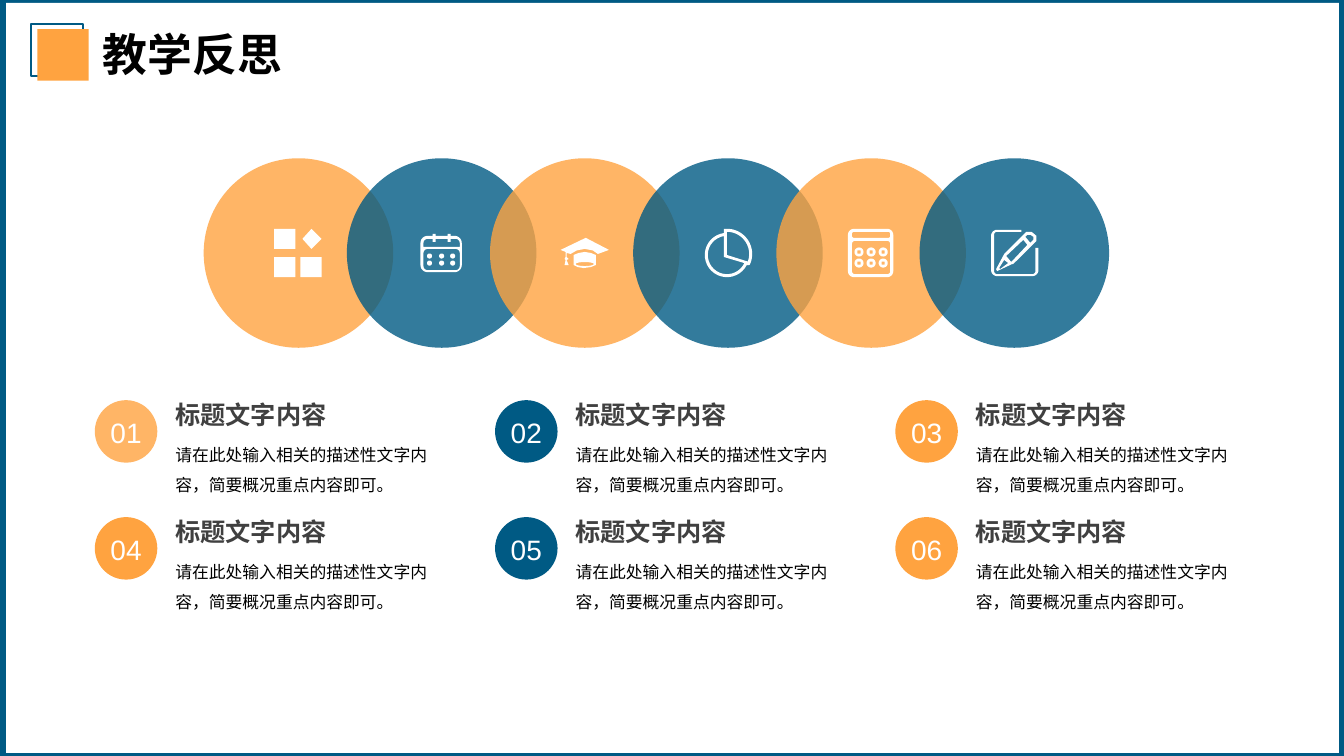
from math import cos, radians, sin

from lxml.etree import SubElement
from pptx import Presentation
from pptx.dml.color import RGBColor
from pptx.enum.shapes import MSO_SHAPE as Shape
from pptx.enum.text import MSO_AUTO_SIZE as AutoSize, PP_ALIGN as Align
from pptx.oxml.ns import qn
from pptx.util import Inches, Pt

BLUE = RGBColor(0x00, 0x5A, 0x84)
ORANGE = RGBColor(0xFF, 0xA3, 0x40)
WHITE = RGBColor(0xFF, 0xFF, 0xFF)
BLACK = RGBColor(0x00, 0x00, 0x00)
GRAY = RGBColor(0x40, 0x40, 0x40)

WIDTH, HEIGHT = 13.33, 7.5
COLUMNS = 3
COLUMN_LEFT, COLUMN_STEP = 0.94, 3.97
ROW_TOP, ROW_STEP = 3.97, 1.16
BADGE = 0.62
CIRCLE, CIRCLE_LEFT, CIRCLE_TOP = 1.88, 2.02, 1.57
CIRCLE_STEP = 1.42
ICON_UNIT = 0.01

HEADING = "标题文字内容"
DETAIL = "请在此处输入相关的描述性文字内容，简要概况重点内容即可。"


def add_shape(page, kind, left, top, width, height, fill=None, line=None, opacity=100):
    shape = page.shapes.add_shape(
        kind, Inches(left), Inches(top), Inches(width), Inches(height))
    shape.shadow.inherit = False
    if fill is None:
        shape.fill.background()
    else:
        shape.fill.solid()
        shape.fill.fore_color.rgb = fill
    if opacity < 100:
        color = shape._element.spPr.find(qn("a:solidFill"))[0]
        SubElement(color, qn("a:alpha"), val=str(opacity * 1000))
    if line is None:
        shape.line.fill.background()
    else:
        shape.line.color.rgb = line
        shape.line.width = Pt(1.5)


def add_text(page, text, left, top, width, height, size, color,
             bold=False, align=Align.LEFT, spacing=None, wrap=True, inset=None):
    box = page.shapes.add_textbox(
        Inches(left), Inches(top), Inches(width), Inches(height))
    frame = box.text_frame
    frame.word_wrap = wrap
    frame.auto_size = AutoSize.SHAPE_TO_FIT_TEXT
    if inset is not None:
        frame.margin_left = frame.margin_right = inset
        frame.margin_top = frame.margin_bottom = inset
    frame.text = text
    para = frame.paragraphs[0]
    para.alignment = align
    if spacing:
        para.line_spacing = spacing
    span = para.runs[0]
    span.font.name = "Arial"
    span.font.size = Pt(size)
    span.font.bold = bold
    span.font.color.rgb = color


def arc(x, y, across, down, start, end, steps=24):
    angles = [radians(start + (end - start) * step / steps) for step in range(steps + 1)]
    return [(x + across * cos(angle), y + down * sin(angle)) for angle in angles]


def dot(x, y, radius):
    return arc(x, y, radius, radius, 0, 360)


def block(left, top, width, height):
    right, bottom = left + width, top + height
    return [(left, top), (right, top), (right, bottom), (left, bottom)]


def rounded(left, top, width, height, radius):
    west, east = left + radius, left + width - radius
    north, south = top + radius, top + height - radius
    corners = [(east, south), (west, south), (west, north), (east, north)]
    return [point for turn, (x, y) in enumerate(corners)
            for point in arc(x, y, radius, radius, 90 * turn, 90 * turn + 90, 6)]


def tiles_icon():
    diamond = [(23, -14), (13, -24), (4, -14), (13, -4)]
    return [diamond] + [block(x, y, 21, 20) for x, y in [(-24, -24), (-24, 4), (2, 4)]]


def calendar_icon():
    rings = [block(x, y, 3, depth) for x in (-9, 6) for y, depth in [(-19, 2), (-14, 3)]]
    days = [dot(x, y, 2.5) for x in (-12, 0, 11) for y in (3, 10)]
    header = [(-18, -6), *arc(-14, -10, 4, 4, 180, 270, 6),
              *arc(14, -10, 4, 4, 270, 360, 6), (18, -6)]
    return [rounded(-21, -17, 41, 36, 7), header, rounded(-18, -4, 36, 21, 4)] + rings + days


def graduation_icon():
    board = [(13, 1), (8, -2.5), (0, -4), (-8, -2.5), (-14, 1), (-18, 0), (-18, 4),
             (-16, 6), (-18, 7), (-16, 12), (-20, 12), (-19, 7), (-20, 6), (-19, 4),
             (-19, -1), (-24, -3), (1, -15), (24, -3)]
    cap = [(0, -1), (6, 0), (11, 2), (11, 12), (6, 14), (-1, 15), (-7, 14),
           (-11, 12), (-11, 2), (-6, 0)]
    return [board, cap, arc(0, 11, 9, 2, 0, 360)]


def pie_icon():
    rim = [(-4, -24), *arc(-1, 2, 22, 22, 262, 27), (21, 12), *arc(-1, 1, 25, 25, 25, -90)]
    body = [(-4, 4), *arc(-1, 2, 19, 19, 25, 261)]
    slice_gap = [(-1, 2), *arc(-1, 1, 22, 22, -90, 20)]
    return [rim, body, slice_gap]


def calculator_icon():
    keys = [(x, y) for x in (-12, 0, 12) for y in (-1, 10)]
    return ([rounded(-23, -24, 45, 48, 6), rounded(-19, -21, 38, 6, 2),
             rounded(-19, -12, 38, 33, 3)]
            + [dot(x, y, 4.5) for x, y in keys]
            + [block(x - 1.5, y - 1.5, 3, 3) for x, y in keys])


def pencil_icon():
    sheet = [(21, -5), *arc(18, 18, 3, 3, 0, 90, 6), *arc(-17, 18, 3, 3, 90, 180, 6),
             *arc(-17, -18, 3, 3, 180, 270, 6), (7, -21), (7, -23),
             *arc(-17, -17, 6, 6, 270, 180, 6), *arc(-17, 17, 6, 6, 180, 90, 6),
             *arc(18, 17, 6, 6, 90, 0, 6), (24, -5)]
    pencil = [(-11, 3), (-18, 16), (-17, 18), (-2, 11), (-1, 11), (22, -12),
              (22, -17), (17, -21), (12, -21), (-10, 1)]
    eraser = [(13, -18), (16, -18), (19, -16), (19, -13), (16, -10), (11, -16)]
    shaft = [(9, -13), (13, -8), (-3, 9), (-8, 3)]
    tip = [(-6, 10), (-14, 16), (-15, 15), (-10, 7)]
    return [sheet, pencil, eraser, shaft, tip]


def add_icon(page, contours, center_x, center_y):
    placed = [[(Inches(center_x + x * ICON_UNIT), Inches(center_y + y * ICON_UNIT))
               for x, y in contour] for contour in contours]
    builder = page.shapes.build_freeform(*placed[0][0])
    for contour in placed:
        builder.move_to(*contour[0])
        builder.add_line_segments(contour[1:], close=True)
    icon = builder.convert_to_shape()
    icon.shadow.inherit = False
    icon.fill.solid()
    icon.fill.fore_color.rgb = WHITE
    icon.line.fill.background()


def add_frame(page):
    add_shape(page, Shape.RECTANGLE, 0, 0, WIDTH, HEIGHT, BLUE)
    add_shape(page, Shape.RECTANGLE, 0.06, 0.03, WIDTH - 0.11, HEIGHT - 0.06, WHITE)
    add_shape(page, Shape.RECTANGLE, 0.31, 0.24, 0.51, 0.51, line=BLUE)
    add_shape(page, Shape.RECTANGLE, 0.37, 0.29, 0.51, 0.51, ORANGE)
    add_text(page, "教学反思", 0.92, 0.22, 2, 0.64, 32, BLACK, bold=True, wrap=False)


def add_point(page, index):
    row, column = divmod(index, COLUMNS)
    left = COLUMN_LEFT + column * COLUMN_STEP
    top = ROW_TOP + row * ROW_STEP
    add_text(page, HEADING, left + 0.7, top - 0.06, 2.79, 0.4, 18, GRAY, bold=True)
    add_text(page, DETAIL, left + 0.7, top + 0.29, 2.79, 0.68, 12, BLACK, spacing=1.5)
    add_shape(page, Shape.OVAL, left, top, BADGE, BADGE,
              BLUE if column == 1 else ORANGE, opacity=100 if index else 80)
    add_text(page, f"{index + 1:02}", left, top + 0.15, BADGE, 0.34, 20, WHITE,
             align=Align.CENTER, inset=0)


def add_chain(page):
    icons = [tiles_icon(), calendar_icon(), graduation_icon(),
             pie_icon(), calculator_icon(), pencil_icon()]
    lefts = [CIRCLE_LEFT + index * CIRCLE_STEP for index in range(len(icons))]
    for index, left in enumerate(lefts):
        add_shape(page, Shape.OVAL, left, CIRCLE_TOP, CIRCLE, CIRCLE,
                  BLUE if index % 2 else ORANGE, opacity=80)
    for icon, left in zip(icons, lefts):
        add_icon(page, icon, left + CIRCLE / 2, CIRCLE_TOP + CIRCLE / 2)


def main():
    deck = Presentation()
    deck.slide_width, deck.slide_height = Inches(WIDTH), Inches(HEIGHT)
    page = deck.slides.add_slide(deck.slide_layouts[6])
    add_frame(page)
    for index in range(2 * COLUMNS):
        add_point(page, index)
    add_chain(page)
    deck.save("out.pptx")


if __name__ == "__main__":
    main()
